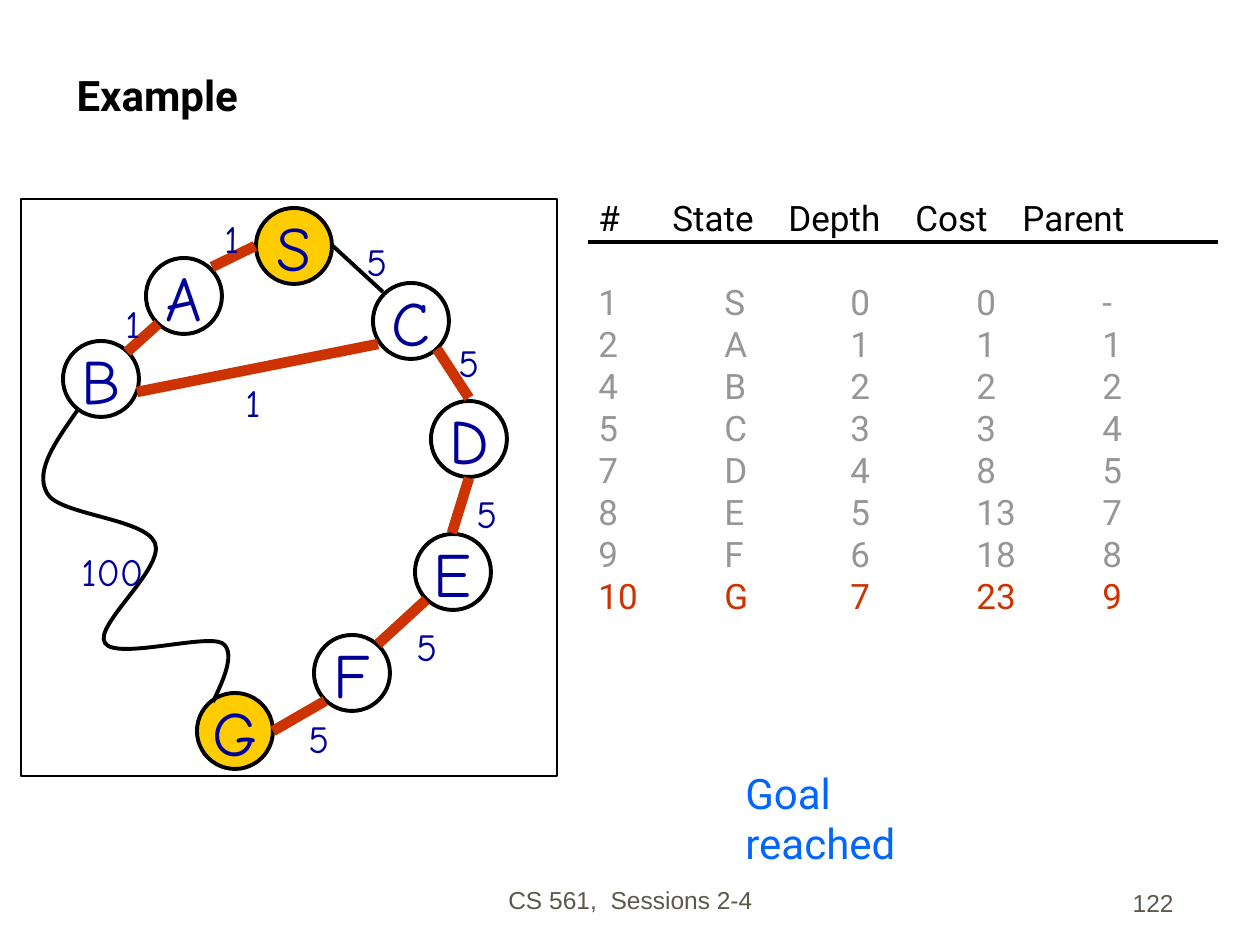
"""Builds a search example slide: a weighted graph beside its expansion list."""
from lxml import etree
from pptx import Presentation
from pptx.dml.color import RGBColor
from pptx.enum.shapes import MSO_CONNECTOR, MSO_SHAPE
from pptx.enum.text import MSO_ANCHOR, PP_ALIGN
from pptx.oxml.ns import qn
from pptx.util import Pt

STRAIGHT = MSO_CONNECTOR.STRAIGHT
RECTANGLE, OVAL = MSO_SHAPE.RECTANGLE, MSO_SHAPE.OVAL
TOP, MIDDLE, BOTTOM = MSO_ANCHOR.TOP, MSO_ANCHOR.MIDDLE, MSO_ANCHOR.BOTTOM
LEFT, CENTER, RIGHT = PP_ALIGN.LEFT, PP_ALIGN.CENTER, PP_ALIGN.RIGHT

SCALE = 914400 / 126
NODE_SIZE = 76
COLUMN_STEP = 126
COLORS = {
    "black": "000000", "white": "FFFFFF", "gold": "FFCC00", "navy": "000099",
    "red": "CC3300", "gray": "969696", "blue": "0066FF", "footer": "5E574E",
}

NODES = [
    ("G", 197, 693, "gold"), ("D", 431, 401, "white"), ("E", 415, 534, "white"),
    ("F", 314, 635, "white"), ("S", 256, 208, "gold"), ("A", 146, 258, "white"),
    ("C", 373, 283, "white"), ("B", 63, 341, "white"),
]
EDGES = [
    (325, 701, 273, 731, "red", 6), (437, 349, 469, 398, "red", 6),
    (469, 478, 452, 533, "red", 6), (426, 600, 378, 644, "red", 6),
    (255, 246, 212, 267, "red", 6), (333, 246, 383, 292, "black", 2.25),
    (158, 324, 127, 352, "red", 6), (137, 392, 378, 344, "red", 6),
]
COSTS = [
    ("100", 69, 542, 89), ("5", 296, 709, 49), ("5", 446, 333, 49),
    ("5", 464, 484, 49), ("5", 404, 617, 49), ("1", 212, 209, 43),
    ("5", 354, 232, 49), ("1", 113, 294, 43), ("1", 233, 373, 43),
]
LONG_PATH_START = (79, 408)
LONG_PATH = [
    (57, 440), (34, 470), (47, 493), (58, 515), (145, 518), (155, 543),
    (165, 568), (93, 626), (105, 643), (116, 660), (204, 634), (222, 643),
    (239, 653), (217, 692), (213, 702),
]
HEADER = ("#", "State", "Depth", "Cost", "Parent")
HEADER_STOPS = (74, 190, 317, 424)
ROWS = [
    ("1", "S", "0", "0", "-"), ("2", "A", "1", "1", "1"),
    ("4", "B", "2", "2", "2"), ("5", "C", "3", "3", "4"),
    ("7", "D", "4", "8", "5"), ("8", "E", "5", "13", "7"),
    ("9", "F", "6", "18", "8"), ("10", "G", "7", "23", "9"),
]
TEXTS = [
    ("CS 561,  Sessions 2-4", (431, 858, 399, 63), 14, "Arial", "footer", CENTER, BOTTOM),
    ("122", (924, 861, 262, 63), 14, "Arial", "footer", RIGHT, BOTTOM),
    ("Goal reached", (733, 761, 240, 116), 24, "Roboto", "blue", LEFT, TOP),
]


def px(value):
    return round(value * SCALE)


def place(*values):
    return [px(value) for value in values]


def color(name):
    return RGBColor.from_string(COLORS[name])


def write(para, text, size, font, tint, bold=False):
    span = para.add_run()
    span.text = text
    span.font.size = Pt(size)
    span.font.name = font
    span.font.bold = bold
    span.font.color.rgb = color(tint)


def add_text(slide, text, bounds, size, font, tint, align=LEFT, anchor=TOP, wrap=True):
    frame = slide.shapes.add_textbox(*place(*bounds)).text_frame
    frame.word_wrap = wrap
    frame.vertical_anchor = anchor
    para = frame.paragraphs[0]
    para.alignment = align
    write(para, text, size, font, tint)


def add_outlined(slide, kind, bounds, fill, width):
    shape = slide.shapes.add_shape(kind, *place(*bounds))
    shape.shadow.inherit = False
    shape.fill.solid()
    shape.fill.fore_color.rgb = color(fill)
    shape.line.color.rgb = color("black")
    shape.line.width = Pt(width)
    return shape


def add_node(slide, label, left, top, fill):
    shape = add_outlined(slide, OVAL, (left, top, NODE_SIZE, NODE_SIZE), fill, 2.25)
    frame = shape.text_frame
    frame.word_wrap = False
    frame.vertical_anchor = MIDDLE
    para = frame.paragraphs[0]
    para.alignment = CENTER
    write(para, label, 36, "Comic Neue", "navy")


def add_line(slide, x1, y1, x2, y2, tint, width):
    line = slide.shapes.add_connector(STRAIGHT, *place(x1, y1, x2, y2))
    line.line.color.rgb = color(tint)
    line.line.width = Pt(width)
    etree.SubElement(line._element.spPr, qn("a:effectLst"))


def add_curve(slide, start, points):
    builder = slide.shapes.build_freeform(*start, scale=SCALE)
    builder.add_line_segments(points, close=False)
    curve = builder.convert_to_shape()
    curve.shadow.inherit = False
    curve.fill.background()
    curve.line.color.rgb = color("black")
    curve.line.width = Pt(2.25)
    segments = list(curve._element.iter(qn("a:lnTo")))
    outline = segments[0].getparent()
    for first in range(0, len(segments), 3):
        bend = etree.SubElement(outline, qn("a:cubicBezTo"))
        for segment in segments[first:first + 3]:
            bend.append(segment[0])
            outline.remove(segment)


def add_row(para, cells, stops, tint):
    tabs = etree.SubElement(para._p.get_or_add_pPr(), qn("a:tabLst"))
    for stop in stops:
        etree.SubElement(tabs, qn("a:tab"), pos=str(px(stop)), algn="l")
    write(para, "\t".join(cells), 20, "Roboto", tint)


def add_expansions(slide):
    frame = slide.shapes.add_textbox(*place(586, 190, 629, 479)).text_frame
    frame.word_wrap = True
    add_row(frame.paragraphs[0], HEADER, HEADER_STOPS, "black")
    row_stops = [COLUMN_STEP * column for column in range(1, len(HEADER))]
    for row in ROWS:
        para = frame.add_paragraph()
        if row is ROWS[0]:
            para.space_before = Pt(24)
        add_row(para, row, row_stops, "red" if row is ROWS[-1] else "gray")
    add_line(slide, 588, 242, 1218, 242, "black", 2.25)


def add_title(slide, text):
    title = slide.shapes.title
    title.left, title.top, title.width, title.height = place(64, 32, 1124, 94)
    title.text_frame.vertical_anchor = BOTTOM
    para = title.text_frame.paragraphs[0]
    para.alignment = LEFT
    write(para, text, 24, "Roboto", "black", True)


def main():
    deck = Presentation()
    deck.slide_width, deck.slide_height = place(1260, 945)
    slide = deck.slides.add_slide(deck.slide_layouts[5])
    add_title(slide, "Example")
    add_outlined(slide, RECTANGLE, (21, 199, 536, 577), "white", 0.75)
    for node in NODES:
        add_node(slide, *node)
    add_curve(slide, LONG_PATH_START, LONG_PATH)
    for edge in EDGES:
        add_line(slide, *edge)
    for cost, left, top, width in COSTS:
        add_text(slide, cost, (left, top, width, 59), 22, "Comic Neue", "navy", wrap=False)
    add_expansions(slide)
    for text in TEXTS:
        add_text(slide, *text)
    deck.save("out.pptx")


if __name__ == "__main__":
    main()
